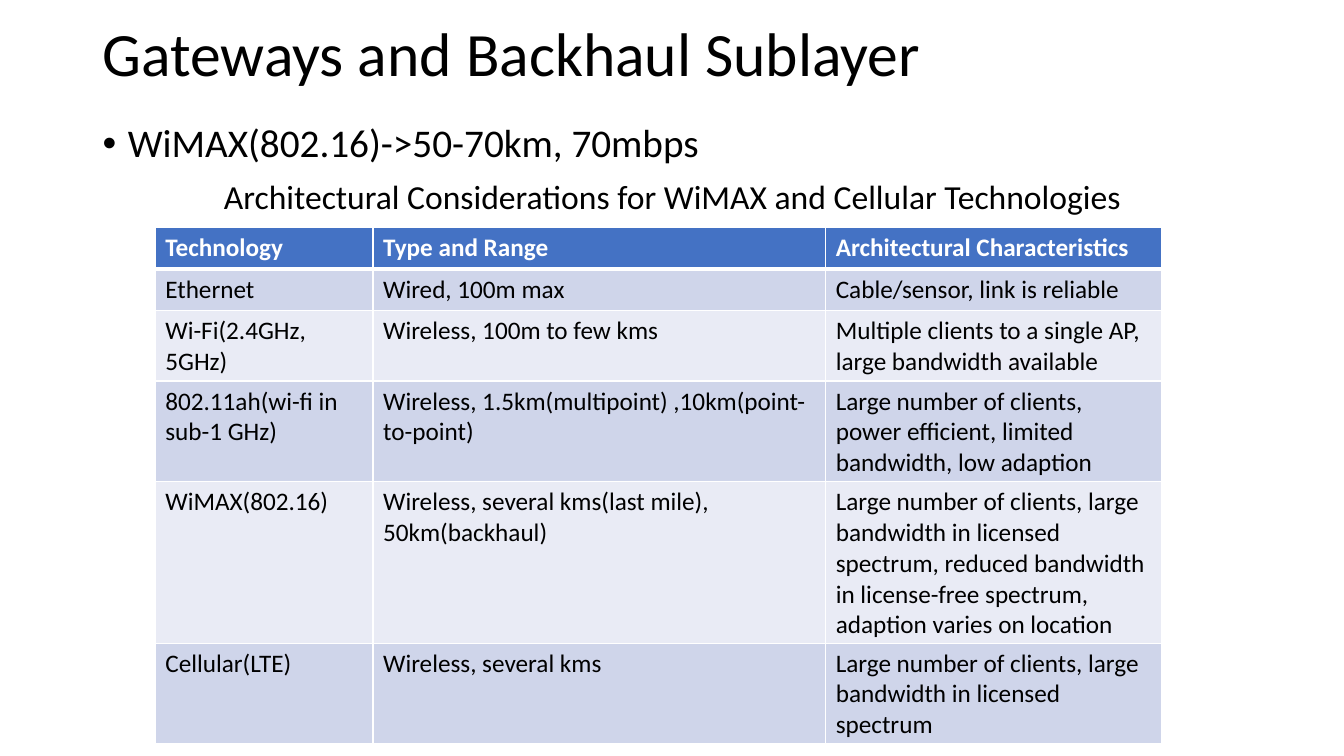
import pptx
import pptx.util
import pptx.dml.color
import pptx.enum.text
import pptx.oxml
from pptx.util import Inches, Pt

FONT = "Calibri"
NS = 'xmlns:a="http://schemas.openxmlformats.org/drawingml/2006/main"'


def style(p, size, color, bold=False):
    for r in p.runs:
        r.font.name = FONT
        r.font.size = Pt(size)
        r.font.bold = bold
        r.font.color.rgb = pptx.dml.color.RGBColor.from_string(color)


prs = pptx.Presentation()
prs.slide_width, prs.slide_height = Inches(13.33), Inches(7.5)
s = prs.slides.add_slide(prs.slide_layouts[6])

# Title
title = s.shapes.add_textbox(Inches(0.92), Inches(0.13), Inches(11.5), Inches(0.87))
tf = title.text_frame
tf.word_wrap = True
tf.vertical_anchor = pptx.enum.text.MSO_ANCHOR.MIDDLE
tf.text = "Gateways and Backhaul Sublayer"
tf.paragraphs[0].line_spacing = 0.9
style(tf.paragraphs[0], 44, "000000")

# Bullet and table caption
body = s.shapes.add_textbox(Inches(0.92), Inches(1.18), Inches(11.5), Inches(5.9))
tf = body.text_frame
tf.word_wrap = True
bullet = tf.paragraphs[0]
bullet.text = "WiMAX(802.16)->50-70km, 70mbps"
pPr = bullet._p.get_or_add_pPr()
pPr.set("marL", str(Inches(0.25)))
pPr.set("indent", str(Inches(-0.25)))
pPr.append(pptx.oxml.parse_xml(f'<a:buFont {NS} typeface="Arial"/>'))
pPr.append(pptx.oxml.parse_xml(f'<a:buChar {NS} char="•"/>'))
bullet.line_spacing = 0.9
style(bullet, 28, "000000")

caption = tf.add_paragraph()
caption.text = "Architectural Considerations for WiMAX and Cellular Technologies"
caption.alignment = pptx.enum.text.PP_ALIGN.CENTER
caption.line_spacing = 0.9
caption.space_before = Pt(10)
style(caption, 24, "000000")

# Technology table
rows = [
    ("Technology", "Type and Range", "Architectural Characteristics"),
    ("Ethernet", "Wired, 100m max", "Cable/sensor, link is reliable"),
    ("Wi-Fi(2.4GHz, 5GHz)", "Wireless, 100m to few kms",
     "Multiple clients to a single AP, large bandwidth available"),
    ("802.11ah(wi-fi in sub-1 GHz)", "Wireless, 1.5km(multipoint) ,10km(point-to-point)",
     "Large number of clients, power efficient, limited bandwidth, low adaption"),
    ("WiMAX(802.16)", "Wireless, several kms(last mile), 50km(backhaul)",
     "Large number of clients, large bandwidth in licensed spectrum, reduced bandwidth "
     "in license-free spectrum, adaption varies on location"),
    ("Cellular(LTE)", "Wireless, several kms",
     "Large number of clients, large bandwidth in licensed spectrum"),
]
widths = [2.16, 4.49, 3.33]
row_height = 0.41
table = s.shapes.add_table(len(rows), len(widths), Inches(1.54), Inches(2.26),
                           Inches(sum(widths)), Inches(row_height * len(rows))).table
for column, width in zip(table.columns, widths):
    column.width = Inches(width)

for i, row in enumerate(rows):
    table.rows[i].height = Inches(row_height)
    header = i == 0
    fill = "4472C4" if header else ("CFD5EA" if i % 2 else "E9EBF5")
    for j, text in enumerate(row):
        cell = table.cell(i, j)
        cell.text = text
        style(cell.text_frame.paragraphs[0], 18, "FFFFFF" if header else "000000", header)
        # White borders, heavier between header and body
        tcPr = cell._tc.get_or_add_tcPr()
        for side in "LRTB":
            heavy = (i, side) in ((0, "B"), (1, "T"))
            tcPr.append(pptx.oxml.parse_xml(
                f'<a:ln{side} {NS} w="{Pt(3 if heavy else 1)}"><a:solidFill>'
                f'<a:srgbClr val="FFFFFF"/></a:solidFill></a:ln{side}>'))
        cell.fill.solid()
        cell.fill.fore_color.rgb = pptx.dml.color.RGBColor.from_string(fill)

prs.save("out.pptx")
